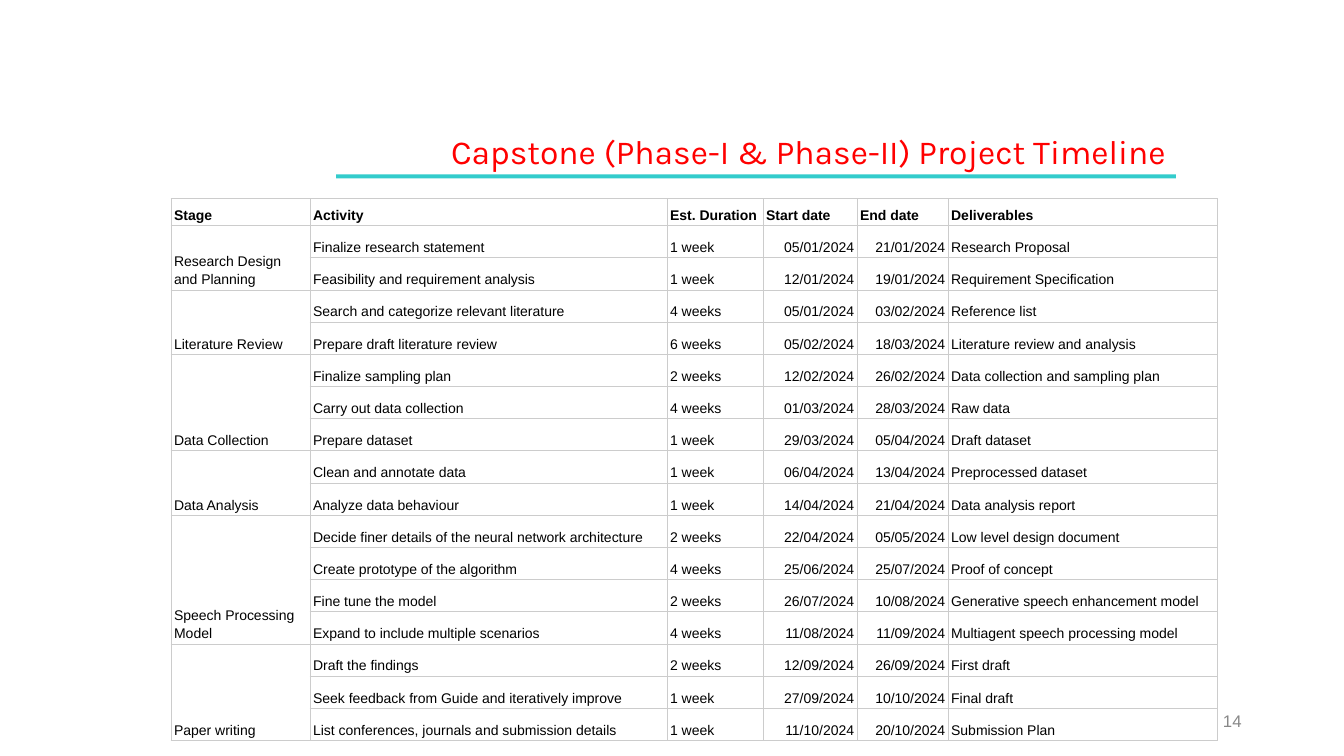
from lxml import etree
from pptx import Presentation, util as u
from pptx.dml.color import RGBColor
from pptx.enum import shapes, text
from pptx.oxml import ns

COLORS = {"title": "FF0000", "rule": "33CCCC", "text": "000000", "border": "CCCCCC", "number": "888888"}
HEADERS = ["Stage", "Activity", "Est. Duration", "Start date", "End date", "Deliverables"]
COLUMN_WIDTHS = [99.3, 255, 68.6, 67.1, 65.1, 192.1]
DATE_COLUMNS = (3, 4)
STAGES = {
    "Research Design and Planning": [
        ("Finalize research statement", "1 week", "05/01/2024", "21/01/2024", "Research Proposal"),
        ("Feasibility and requirement analysis", "1 week", "12/01/2024", "19/01/2024", "Requirement Specification"),
    ],
    "Literature Review": [
        ("Search and categorize relevant literature", "4 weeks", "05/01/2024", "03/02/2024", "Reference list"),
        ("Prepare draft literature review", "6 weeks", "05/02/2024", "18/03/2024", "Literature review and analysis"),
    ],
    "Data Collection": [
        ("Finalize sampling plan", "2 weeks", "12/02/2024", "26/02/2024", "Data collection and sampling plan"),
        ("Carry out data collection", "4 weeks", "01/03/2024", "28/03/2024", "Raw data"),
        ("Prepare dataset", "1 week", "29/03/2024", "05/04/2024", "Draft dataset"),
    ],
    "Data Analysis": [
        ("Clean and annotate data", "1 week", "06/04/2024", "13/04/2024", "Preprocessed dataset"),
        ("Analyze data behaviour", "1 week", "14/04/2024", "21/04/2024", "Data analysis report"),
    ],
    "Speech Processing Model": [
        ("Decide finer details of the neural network architecture", "2 weeks", "22/04/2024", "05/05/2024",
         "Low level design document"),
        ("Create prototype of the algorithm", "4 weeks", "25/06/2024", "25/07/2024", "Proof of concept"),
        ("Fine tune the model", "2 weeks", "26/07/2024", "10/08/2024", "Generative speech enhancement model"),
        ("Expand to include multiple scenarios", "4 weeks", "11/08/2024", "11/09/2024",
         "Multiagent speech processing model"),
    ],
    "Paper writing": [
        ("Draft the findings", "2 weeks", "12/09/2024", "26/09/2024", "First draft"),
        ("Seek feedback from Guide and iteratively improve", "1 week", "27/09/2024", "10/10/2024", "Final draft"),
        ("List conferences, journals and submission details", "1 week", "11/10/2024", "20/10/2024",
         "Submission Plan"),
    ],
}


class TimelineSlide:
    """Draws the elements of the timeline slide in one shared style."""

    def __init__(self, slide, colors):
        self.slide = slide
        self.colors = colors

    def color(self, name):
        return RGBColor.from_string(self.colors[name])

    def style(self, paragraph, size, color, font="Arial", bold=False, right=False):
        paragraph.font.name = font
        paragraph.font.size = u.Pt(size)
        paragraph.font.bold = bold
        paragraph.font.color.rgb = self.color(color)
        paragraph.alignment = text.PP_ALIGN.RIGHT if right else text.PP_ALIGN.LEFT

    def rule(self, *box):
        shape = self.slide.shapes.add_shape(shapes.MSO_SHAPE.RECTANGLE, *map(u.Pt, box))
        shape.shadow.inherit = False
        shape.fill.solid()
        shape.fill.fore_color.rgb = self.color("rule")
        shape.line.fill.background()

    def right_text(self, words, box, size, color, font, anchor):
        shape = self.slide.shapes.add_textbox(*map(u.Pt, box))
        frame = shape.text_frame
        frame.word_wrap = True
        frame.vertical_anchor = anchor
        frame.text = words
        self.style(frame.paragraphs[0], size, color, font, right=True)
        return shape

    def title(self, words, *box):
        shape = self.right_text(words, box, 24, "title", "Karla", text.MSO_ANCHOR.TOP)
        shape.text_frame.auto_size = text.MSO_AUTO_SIZE.SHAPE_TO_FIT_TEXT
        properties = shape.text_frame.paragraphs[0]._p.get_or_add_pPr()
        properties.set("marL", str(u.Pt(27)))
        properties.set("indent", str(u.Pt(-27)))

    def borders(self, cell):
        properties = cell._tc.get_or_add_tcPr()
        for side in ("lnL", "lnR", "lnT", "lnB"):
            line = etree.SubElement(properties, ns.qn(f"a:{side}"), w=str(u.Pt(0.6)))
            fill = etree.SubElement(line, ns.qn("a:solidFill"))
            etree.SubElement(fill, ns.qn("a:srgbClr"), val=self.colors["border"])

    def cell(self, cell, words, bold, right):
        cell.text = words
        cell.margin_left = cell.margin_right = u.Pt(2.2)
        cell.margin_top = cell.margin_bottom = u.Pt(1.5)
        cell.vertical_anchor = text.MSO_ANCHOR.BOTTOM
        self.borders(cell)
        cell.fill.background()
        paragraph = cell.text_frame.paragraphs[0]
        paragraph.line_spacing = 1.15
        self.style(paragraph, 10, "text", bold=bold, right=right)

    def timeline(self, left, top, header_height, row_height):
        rows = [HEADERS]
        spans = []
        for stage, activities in STAGES.items():
            spans.append((len(rows), len(rows) + len(activities) - 1))
            rows += [(stage if index == 0 else "", *activity) for index, activity in enumerate(activities)]
        height = header_height + row_height * (len(rows) - 1)
        box = map(u.Pt, (left, top, sum(COLUMN_WIDTHS), height))
        table = self.slide.shapes.add_table(len(rows), len(HEADERS), *box).table
        table.first_row = table.horz_banding = False
        for column, width in zip(table.columns, COLUMN_WIDTHS):
            column.width = u.Pt(width)
        for r, row in enumerate(rows):
            table.rows[r].height = u.Pt(row_height if r else header_height)
            for c, words in enumerate(row):
                self.cell(table.cell(r, c), words, bold=r == 0, right=r > 0 and c in DATE_COLUMNS)
        for first, last in spans:
            table.cell(first, 0).merge(table.cell(last, 0))

    def number(self, words, *box):
        self.right_text(words, box, 12, "number", "Arial", text.MSO_ANCHOR.MIDDLE)


def main():
    presentation = Presentation()
    presentation.slide_width = u.Pt(960)
    presentation.slide_height = u.Pt(540)
    page = TimelineSlide(presentation.slides.add_slide(presentation.slide_layouts[6]), COLORS)
    page.rule(240, 124.5, 600, 3)
    page.title("Capstone (Phase-I & Phase-II) Project Timeline", 228, 90, 612, 36)
    page.timeline(122.2, 142, 19.1, 23)
    page.number("14", 678, 500.5, 216, 28.8)
    presentation.save("out.pptx")


if __name__ == "__main__":
    main()
